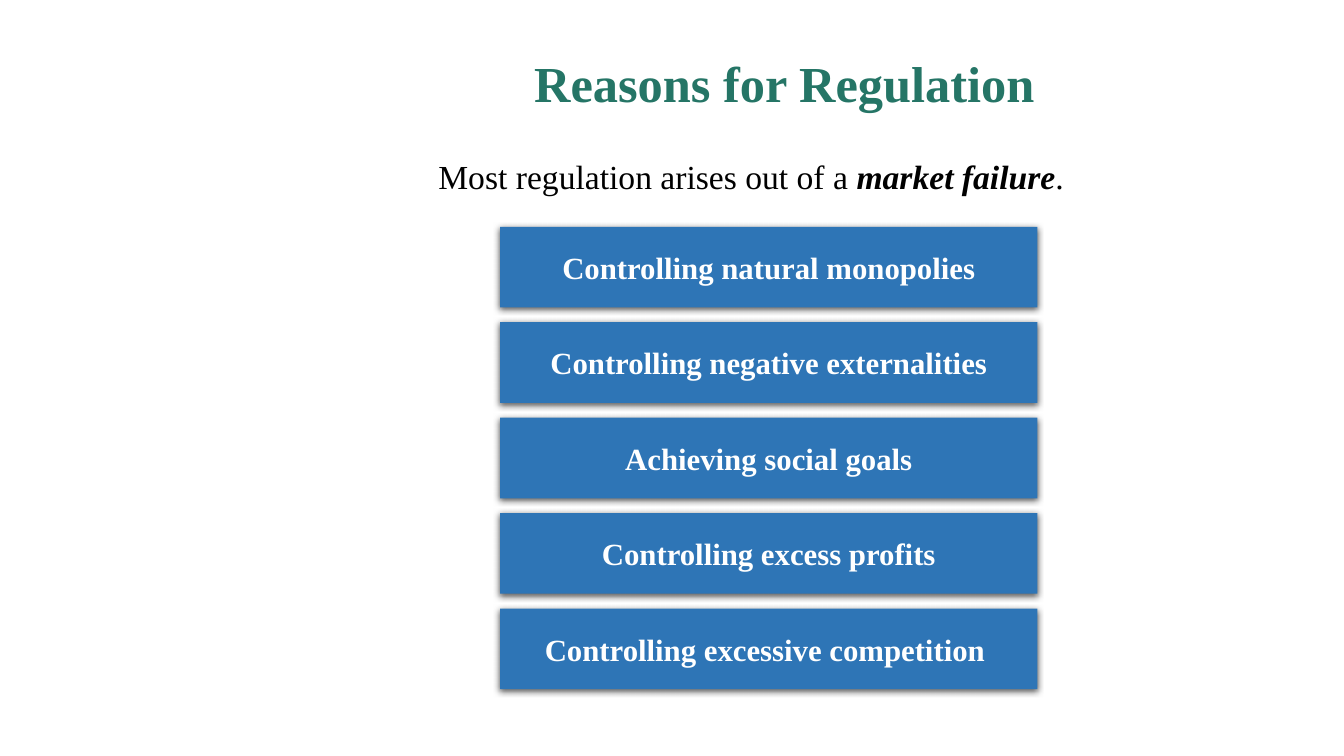
from lxml.etree import SubElement
from pptx import Presentation
from pptx.dml.color import RGBColor
from pptx.enum.shapes import MSO_SHAPE
from pptx.enum.text import MSO_ANCHOR, PP_ALIGN
from pptx.oxml.ns import qn
from pptx.util import Inches, Pt


def color(value):
    return RGBColor.from_string(value)


def add_text(paragraph, text, size, fill, bold=False, italic=False, align=PP_ALIGN.CENTER):
    paragraph.alignment = align
    run = paragraph.add_run()
    run.text = text
    run.font.name = "Times New Roman"
    run.font.size = Pt(size)
    run.font.bold = bold
    run.font.italic = italic
    run.font.color.rgb = color(fill)


presentation = Presentation()
presentation.slide_width = Inches(13.33)
presentation.slide_height = Inches(7.5)
slide = presentation.slides.add_slide(presentation.slide_layouts[6])

title = slide.shapes.add_textbox(Inches(4.03), Inches(0.25), Inches(7.5), Inches(0.92))
title.text_frame.word_wrap = True
title.text_frame.vertical_anchor = MSO_ANCHOR.BOTTOM
title_paragraph = title.text_frame.paragraphs[0]
title_paragraph.line_spacing = 0.9
add_text(title_paragraph, "Reasons for Regulation", size=36, fill="257566", bold=True)

reasons = [
    "Controlling natural monopolies",
    "Controlling negative externalities",
    "Achieving social goals",
    "Controlling excess profits",
    "Controlling excessive competition ",
]
first_top = 2.25
row_pitch = 0.947

for index, reason in enumerate(reasons):
    top = Inches(first_top + index * row_pitch)
    box = slide.shapes.add_shape(MSO_SHAPE.RECTANGLE, Inches(4.96), top, Inches(5.33), Inches(0.8))
    box.fill.solid()
    box.fill.fore_color.rgb = color("2E75B6")
    box.line.fill.background()
    box.shadow.inherit = False
    effects = box._element.spPr.find(qn("a:effectLst"))
    shadow = SubElement(effects, qn("a:outerShdw"), blurRad=str(Pt(4.5)), dist=str(Pt(1.5)),
                        dir="5400000", algn="ctr", rotWithShape="0")
    shadow_color = SubElement(shadow, qn("a:srgbClr"), val="000000")
    SubElement(shadow_color, qn("a:alpha"), val="63000")
    box.text_frame.word_wrap = False
    box.text_frame.vertical_anchor = MSO_ANCHOR.MIDDLE
    add_text(box.text_frame.paragraphs[0], reason, size=22, fill="FFFFFF", bold=True)

statement = slide.shapes.add_textbox(Inches(4.25), Inches(1.5), Inches(6.46), Inches(0.51))
statement.text_frame.word_wrap = False
statement_paragraph = statement.text_frame.paragraphs[0]
for text, emphasis in [("Most regulation arises out of a ", False), ("market failure", True), (".", False)]:
    add_text(statement_paragraph, text, size=24, fill="000000", bold=emphasis, italic=emphasis,
             align=PP_ALIGN.LEFT)

presentation.save("out.pptx")
